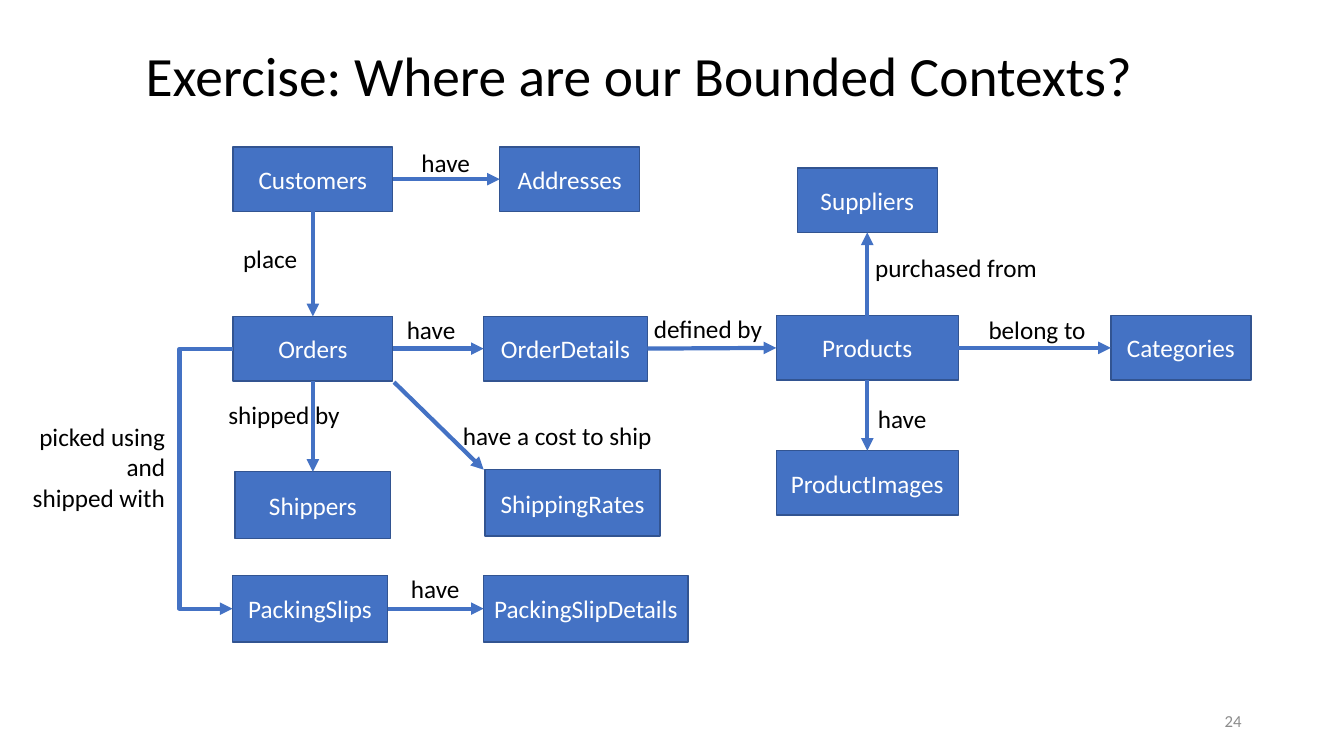
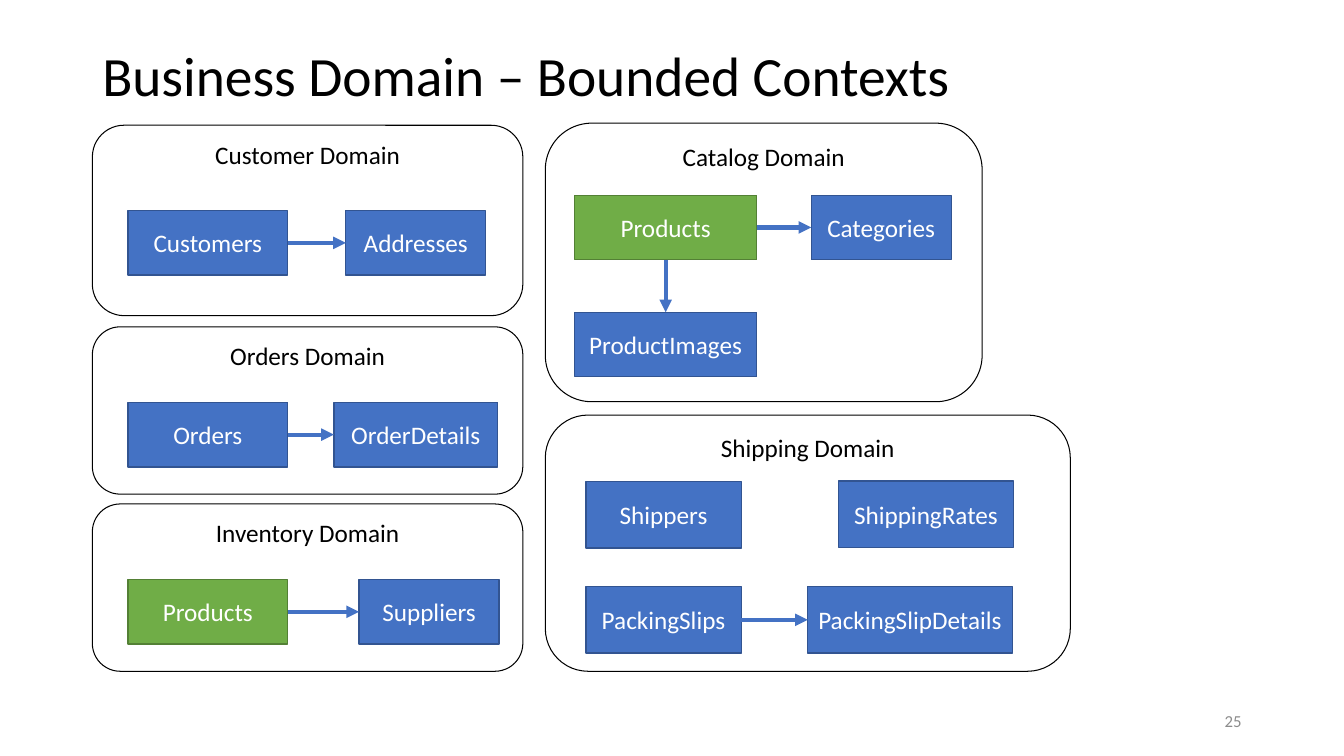
from dataclasses import dataclass

from lxml.etree import SubElement
from pptx import Presentation
from pptx.dml.color import RGBColor
from pptx.enum.shapes import MSO_CONNECTOR, MSO_SHAPE
from pptx.enum.text import MSO_ANCHOR as Anchor, MSO_AUTO_SIZE as AutoSize, PP_ALIGN as Align
from pptx.oxml.ns import qn
from pptx.util import Pt


@dataclass(frozen=True)
class Theme:
    font: str = "Calibri"
    title_size: float = 39.6
    body_size: float = 18
    number_size: float = 12
    text: str = "000000"
    number: str = "8C8C8C"
    on_fill: str = "FFFFFF"
    entity: tuple = ("4472C4", "325491")
    shared: tuple = ("70AD47", "538035")
    arrow: str = "4472C4"
    arrow_width: float = 3
    entity_line: float = 1
    frame_line: float = 0.75


THEME = Theme()
TOP, LEFT, BOTTOM, RIGHT = range(4)
LABEL_HEIGHT = 29

ENTITY_SIZES = {
    "Customers": (114, 46),
    "Addresses": (100, 46),
    "Orders": (114, 46),
    "OrderDetails": (117, 46),
    "Products": (130, 46),
    "Categories": (100, 46),
    "Suppliers": (100, 46),
    "ProductImages": (130, 46),
    "Shippers": (111, 47.5),
    "ShippingRates": (125, 47.5),
    "PackingSlips": (111, 47.5),
    "PackingSlipDetails": (146, 47.5),
}

EXERCISE = {
    "title": ("Exercise: Where are our Bounded Contexts?", 97),
    "number": "24",
    # name: left, top
    "entities": {
        "Customers": (166.5, 105),
        "Addresses": (357, 105),
        "Shippers": (168, 337),
        "ShippingRates": (346.5, 335.5),
        "PackingSlips": (166, 411),
        "PackingSlipDetails": (345.5, 411),
        "Products": (554.5, 225.5),
        "Categories": (793.5, 225.5),
        "Suppliers": (569.5, 120),
        "ProductImages": (554.5, 322),
        "OrderDetails": (345.5, 226),
        "Orders": (166.5, 226),
    },
    "links": [
        ("Customers", RIGHT, "Addresses", LEFT),
        ("Customers", BOTTOM, "Orders", TOP),
        ("Orders", RIGHT, "OrderDetails", LEFT),
        ("Orders", BOTTOM, "Shippers", TOP),
        ("OrderDetails", RIGHT, "Products", LEFT),
        ("Products", RIGHT, "Categories", LEFT),
        ("Products", TOP, "Suppliers", BOTTOM),
        ("Products", BOTTOM, "ProductImages", TOP),
        ("PackingSlips", RIGHT, "PackingSlipDetails", LEFT),
    ],
    # text, left, top, width
    "labels": [
        ("have", 294, 102, 50),
        ("place", 166.5, 170, 54),
        ("have", 283.5, 221, 50),
        ("defined by", 460, 220.5, 93),
        ("belong to", 699, 221, 85),
        ("purchased from", 618, 177, 131),
        ("have", 620, 284.5, 50),
        ("shipped by", 156, 282, 95),
        ("have a cost to ship", 323.5, 296.5, 151),
        ("have", 286.5, 406, 50),
    ],
    "picking_label": ("picked using\nand\nshipped with", 13.5, 297.5, 111.5),
    "picking_bend": 129,
    "shipping_cost_arrow": (281.5, 273, 345.5, 335.5),
}

CONTEXTS = {
    "title": ("Business Domain – Bounded Contexts", 66),
    "number": "25",
    "shared": "Products",
    # name, frame, entities (left, top and, where it differs, width), links
    "domains": [
        ("Customer Domain", (66, 89.5, 307.5, 136),
         {"Customers": (91.5, 150.5), "Addresses": (247, 150.5)},
         [("Customers", RIGHT, "Addresses", LEFT)]),
        ("Orders Domain", (66, 233.5, 307.5, 119.5),
         {"Orders": (91.5, 287.5), "OrderDetails": (238.5, 287.5)},
         [("Orders", RIGHT, "OrderDetails", LEFT)]),
        ("Inventory Domain", (66, 360, 307.5, 119.5),
         {"Products": (91.5, 414, 114), "Suppliers": (256.5, 414)},
         [("Products", RIGHT, "Suppliers", LEFT)]),
        ("Catalog Domain", (389.5, 88, 312, 199),
         {"Products": (410.5, 139.5), "Categories": (579.5, 139.5),
          "ProductImages": (410.5, 223)},
         [("Products", RIGHT, "Categories", LEFT),
          ("Products", BOTTOM, "ProductImages", TOP)]),
        ("Shipping Domain", (389.5, 296.5, 375, 183),
         {"Shippers": (418.5, 344), "ShippingRates": (599, 343.5),
          "PackingSlips": (418.5, 419), "PackingSlipDetails": (577, 419)},
         [("PackingSlips", RIGHT, "PackingSlipDetails", LEFT)]),
    ],
}


def set_all(target, values):
    for name, value in values.items():
        setattr(target, name, value)


def write(shape, text, size=THEME.body_size, color=THEME.text, align=Align.LEFT,
          spacing=1.0, **frame_values):
    """Put one paragraph per line of text into the shape."""
    frame = shape.text_frame
    set_all(frame, {"word_wrap": True, **frame_values})
    frame.text = text
    for paragraph in frame.paragraphs:
        set_all(paragraph, {"alignment": align, "line_spacing": spacing})
        set_all(paragraph.font, {"name": THEME.font, "size": Pt(size)})
        paragraph.font.color.rgb = RGBColor.from_string(color)


def add_text(slide, box, text, **style):
    write(slide.shapes.add_textbox(*map(Pt, box)), text, **style)


def add_label(slide, text, left, top, width, align=Align.LEFT):
    lines = text.count("\n")
    box = (left, top, width, LABEL_HEIGHT + 22 * lines)
    add_text(slide, box, text, align=align, word_wrap=False,
             auto_size=AutoSize.SHAPE_TO_FIT_TEXT)


def add_outlined(slide, kind, box, line_color, line_width):
    shape = slide.shapes.add_shape(kind, *map(Pt, box))
    shape.shadow.inherit = False
    shape.line.color.rgb = RGBColor.from_string(line_color)
    shape.line.width = Pt(line_width)
    return shape


def add_entity(slide, name, left, top, width=None, colors=THEME.entity):
    usual_width, height = ENTITY_SIZES[name]
    fill, line = colors
    shape = add_outlined(slide, MSO_SHAPE.FLOWCHART_PROCESS,
                         (left, top, width or usual_width, height),
                         line, THEME.entity_line)
    shape.fill.solid()
    shape.fill.fore_color.rgb = RGBColor.from_string(fill)
    write(shape, name, color=THEME.on_fill, align=Align.CENTER,
          vertical_anchor=Anchor.MIDDLE, margin_left=Pt(4), margin_right=Pt(4))
    return shape


def add_frame(slide, name, box):
    shape = add_outlined(slide, MSO_SHAPE.FLOWCHART_ALTERNATE_PROCESS, box,
                         THEME.text, THEME.frame_line)
    shape.fill.background()
    write(shape, name, align=Align.CENTER, vertical_anchor=Anchor.TOP)


def add_arrow(slide, points=(0, 0, 0, 0), kind=MSO_CONNECTOR.STRAIGHT):
    arrow = slide.shapes.add_connector(kind, *map(Pt, points))
    arrow.line.color.rgb = RGBColor.from_string(THEME.arrow)
    arrow.line.width = Pt(THEME.arrow_width)
    properties = arrow._element.spPr
    SubElement(properties.find(qn("a:ln")), qn("a:tailEnd"), type="triangle")
    SubElement(properties, qn("a:effectLst"))
    return arrow


def join(arrow, start, start_side, end, end_side):
    arrow.begin_connect(start, start_side)
    arrow.end_connect(end, end_side)


def add_links(slide, shapes, links):
    for start, start_side, end, end_side in links:
        join(add_arrow(slide), shapes[start], start_side, shapes[end], end_side)


def add_side_elbow(slide, start, end, bend):
    """Join two left sides by an elbow that reaches out to x = bend."""
    arrow = add_arrow(slide, kind=MSO_CONNECTOR.ELBOW)
    join(arrow, start, LEFT, end, LEFT)
    properties = arrow._element.spPr
    xfrm = properties.find(qn("a:xfrm"))
    xfrm.attrib.pop("flipH", None)
    xfrm.set("rot", "10800000")
    xfrm.set("flipV", "1")
    reach = round((start.left - Pt(bend)) / (start.left - end.left) * 100000)
    geometry = properties.find(qn("a:prstGeom"))
    guides = geometry.find(qn("a:avLst"))
    if guides is None:
        guides = SubElement(geometry, qn("a:avLst"))
    SubElement(guides, qn("a:gd"), name="adj1", fmla=f"val {reach}")


def start_slide(presentation, content):
    slide = presentation.slides.add_slide(presentation.slide_layouts[6])
    title, left = content["title"]
    add_text(slide, (left, 29, 894 - left, 54), title, size=THEME.title_size,
             spacing=0.9, vertical_anchor=Anchor.MIDDLE)
    add_text(slide, (678, 500.5, 216, 29), content["number"], size=THEME.number_size,
             color=THEME.number, align=Align.RIGHT, vertical_anchor=Anchor.MIDDLE)
    return slide


def build_exercise(presentation):
    slide = start_slide(presentation, EXERCISE)
    shapes = {name: add_entity(slide, name, *place)
              for name, place in EXERCISE["entities"].items()}
    add_links(slide, shapes, EXERCISE["links"])
    add_side_elbow(slide, shapes["Orders"], shapes["PackingSlips"],
                   EXERCISE["picking_bend"])
    add_arrow(slide, EXERCISE["shipping_cost_arrow"])
    for label in EXERCISE["labels"]:
        add_label(slide, *label)
    add_label(slide, *EXERCISE["picking_label"], align=Align.RIGHT)


def build_contexts(presentation):
    slide = start_slide(presentation, CONTEXTS)
    for domain, box, entities, links in CONTEXTS["domains"]:
        add_frame(slide, domain, box)
        shapes = {}
        for name, place in entities.items():
            colors = THEME.shared if name == CONTEXTS["shared"] else THEME.entity
            shapes[name] = add_entity(slide, name, *place, colors=colors)
        add_links(slide, shapes, links)


def main():
    presentation = Presentation()
    set_all(presentation, {"slide_width": Pt(960), "slide_height": Pt(540)})
    build_exercise(presentation)
    build_contexts(presentation)
    presentation.save("out.pptx")


if __name__ == "__main__":
    main()
